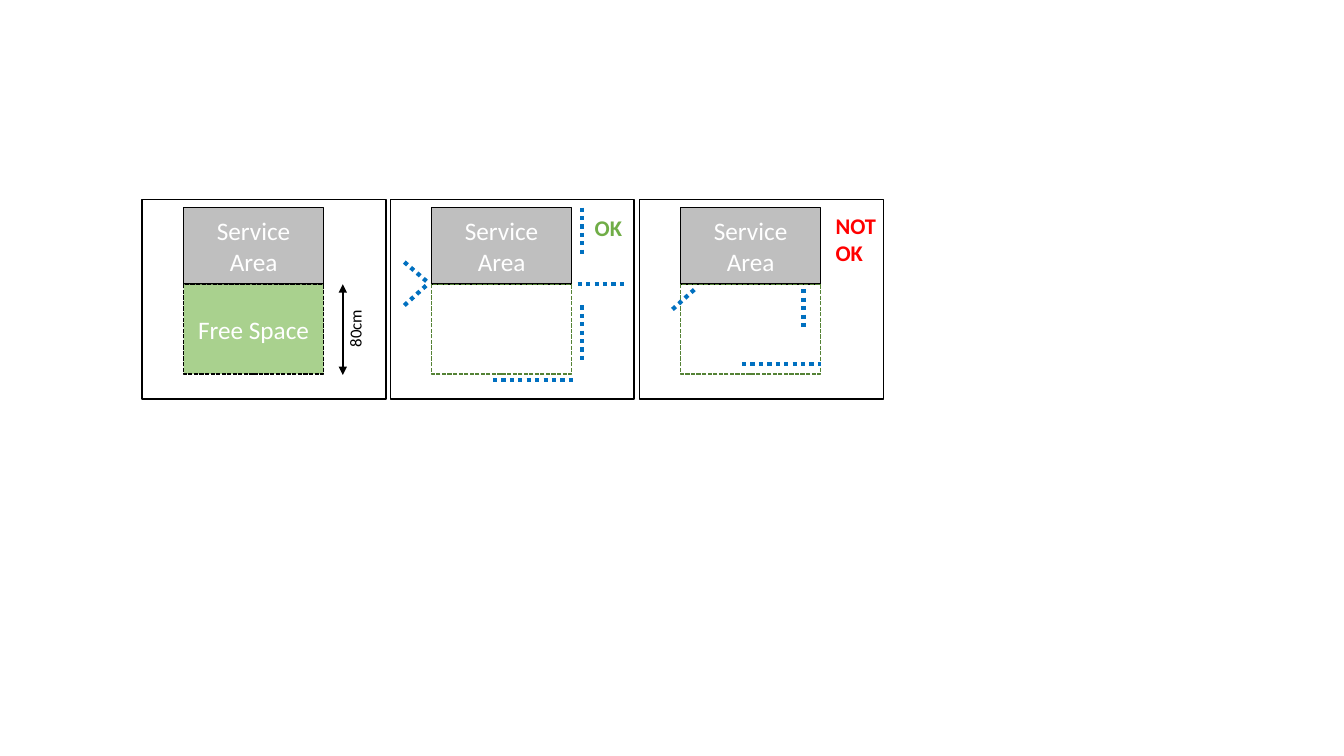
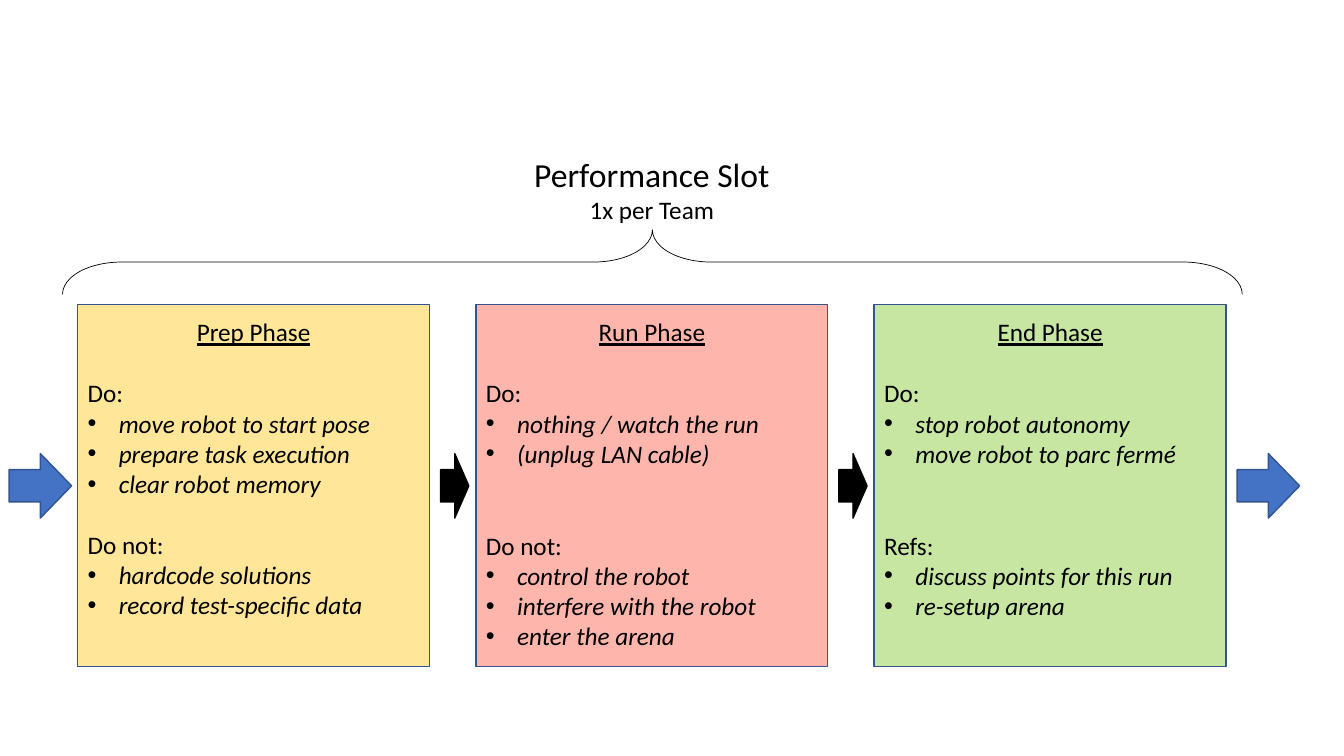
from lxml import etree
from pptx import Presentation
from pptx import util as u
from pptx.dml.color import RGBColor
from pptx.enum import dml, shapes, text
from pptx.oxml import ns

PX = 9144
FONT = "Calibri"
BLACK = RGBColor(0x00, 0x00, 0x00)
WHITE = RGBColor(0xFF, 0xFF, 0xFF)
GREY = RGBColor(0xBF, 0xBF, 0xBF)
LEAF = RGBColor(0xA9, 0xD1, 0x8E)
FOREST = RGBColor(0x54, 0x82, 0x35)
GREEN = RGBColor(0x70, 0xAD, 0x47)
RED = RGBColor(0xFF, 0x00, 0x00)
WALL = RGBColor(0x00, 0x70, 0xC0)
BLUE = RGBColor(0x44, 0x72, 0xC4)
NAVY = RGBColor(0x32, 0x54, 0x91)
YELLOW = RGBColor(0xFF, 0xE6, 0x99)
PINK = RGBColor(0xFE, 0xB6, 0xAC)
LIME = RGBColor(0xC7, 0xE6, 0xA2)
LEFT, CENTER = text.PP_ALIGN.LEFT, text.PP_ALIGN.CENTER
DASH, DOT = dml.MSO_LINE.SQUARE_DOT, dml.MSO_LINE.ROUND_DOT
SYS_DASH = "sysDash"
SYS_DOT = "sysDot"
LINE_PT = 22


def emu(*lengths):
    return [u.Emu(n * PX) for n in lengths]


def child(parent, tag, **attrs):
    return etree.SubElement(parent, ns.qn(tag), attrs)


def write(tf, content, size=18, color=BLACK, align=LEFT, before=0,
          bold=False, italic=False, underline=False, bullet=False):
    p = tf.paragraphs[0]
    if p.runs:
        p = tf.add_paragraph()
    p.alignment = align
    p.space_before = u.Pt(before)
    if bullet:
        indent = emu(31)[0]
        pPr = p._p.get_or_add_pPr()
        pPr.set("marL", str(indent))
        pPr.set("indent", str(-indent))
        child(pPr, "a:buFont", typeface="Arial")
        child(pPr, "a:buChar", char="•")
    r = p.add_run()
    r.text = content
    font = r.font
    font.name, font.size, font.color.rgb = FONT, u.Pt(size), color
    font.bold, font.italic, font.underline = bold, italic, underline


class Deck:
    """Holds the shared style and the slide being drawn."""

    def __init__(self):
        self.prs = Presentation()
        self.prs.slide_width, self.prs.slide_height = emu(1333, 750)
        self.s = None

    def slide(self, layout):
        self.s = self.prs.slides.add_slide(
            self.prs.slide_layouts.get_by_name(layout))

    def title(self, box, heading, subtitle):
        sp = self.s.shapes.title
        sp.left, sp.top, sp.width, sp.height = emu(*box)
        tf = sp.text_frame
        tf.auto_size = text.MSO_AUTO_SIZE.NONE
        tf.vertical_anchor = text.MSO_ANCHOR.TOP
        write(tf, heading, size=24, align=CENTER)
        write(tf, subtitle, align=CENTER)

    def stroke(self, line, color, width, dash=None):
        line.color.rgb = color
        line.width = u.Pt(width)
        if dash:
            child(line._get_or_add_ln(), "a:prstDash", val=dash)

    def shape(self, kind, box, fill=None, line=BLACK, width=1, dash=None):
        sp = self.s.shapes.add_shape(kind, *emu(*box))
        sp.shadow.inherit = False
        if fill is None:
            sp.fill.background()
        else:
            sp.fill.solid()
            sp.fill.fore_color.rgb = fill
        self.stroke(sp.line, line, width, dash)
        return sp

    def rect(self, box, label=None, **style):
        sp = self.shape(shapes.MSO_SHAPE.RECTANGLE, box, **style)
        if label:
            sp.text_frame.vertical_anchor = text.MSO_ANCHOR.MIDDLE
            write(sp.text_frame, label, color=WHITE, align=CENTER)
        return sp

    def label(self, box, content, rotation=0, **fmt):
        sp = self.s.shapes.add_textbox(*emu(*box))
        sp.rotation = rotation
        sp.text_frame.word_wrap = True
        write(sp.text_frame, content, **fmt)

    def line(self, ends, color, width, dash=None, arrows=False):
        cx = self.s.shapes.add_connector(
            shapes.MSO_CONNECTOR.STRAIGHT, *emu(*ends))
        self.stroke(cx.line, color, width, dash)
        if arrows:
            for end in ("a:headEnd", "a:tailEnd"):
                child(cx.line._get_or_add_ln(), end, type="triangle")
        child(cx._element.spPr, "a:effectLst")

    def arrow(self, left, width, fill, line):
        self.shape(shapes.MSO_SHAPE.RIGHT_ARROW, (left, 450, width, 64),
                   fill=fill, line=line)

    def brace(self, box):
        sp = self.shape(shapes.MSO_SHAPE.LEFT_BRACE, box, width=0.5)
        sp.rotation = 90
        sp.adjustments[0] = 0.91
        sp.adjustments[1] = 0.5

    def panel(self, left, walls=(), **space):
        self.rect((left, 198, 242, 198))
        self.rect((left + 41, 206, 139, 76), "Service Area", fill=GREY)
        self.rect((left + 41, 282, 139, 89), dash=SYS_DASH, **space)
        for ends in walls:
            self.line(ends, WALL, 3, dash=SYS_DOT)

    def phase(self, left, fill, heading, sections):
        sp = self.rect((left, 302, 349, 359), fill=fill, line=NAVY)
        tf = sp.text_frame
        tf.vertical_anchor = text.MSO_ANCHOR.TOP
        tf.margin_top = emu(12)[0]
        write(tf, heading, align=CENTER, underline=True)
        gap = LINE_PT
        for caption, items in sections:
            write(tf, caption, before=gap)
            for item in items:
                write(tf, item, italic=True, bullet=True)
            gap = LINE_PT * (4 - len(items))


def service_areas(deck):
    deck.slide("Blank")
    deck.panel(141, label="Free Space", fill=LEAF)
    deck.line((340, 282, 340, 372), BLACK, 1.5, arrows=True)
    deck.label((316, 311, 72, 30), "80cm", rotation=270, size=12, align=CENTER)
    deck.panel(387, line=FOREST, walls=[
        (573, 282, 620, 282), (577, 206, 577, 253), (489, 377, 568, 377),
        (577, 303, 577, 361), (401, 260, 423, 279), (401, 303, 423, 283)])
    deck.label((580, 208, 55, 37), "OK", size=16, color=GREEN, bold=True)
    deck.panel(634, line=FOREST, walls=[
        (736, 361, 814, 361), (797, 287, 797, 326), (667, 307, 689, 287)])
    deck.label((819, 206, 67, 64), "NOT OK", size=16, color=RED, bold=True)


def performance_slot(deck):
    deck.slide("Title Only")
    deck.title((452, 148, 389, 81), "Performance Slot", "1x per Team")
    deck.brace((615, -325, 64, 1170))
    phases = [
        (YELLOW, "Prep Phase", [
            ("Do:", ["move robot to start pose", "prepare task execution",
                     "clear robot memory"]),
            ("Do not:", ["hardcode solutions", "record test-specific data"])]),
        (PINK, "Run Phase", [
            ("Do:", ["nothing / watch the run", "(unplug LAN cable)"]),
            ("Do not:", ["control the robot", "interfere with the robot",
                         "enter the arena"])]),
        (LIME, "End Phase", [
            ("Do:", ["stop robot autonomy", "move robot to parc fermé"]),
            ("Refs:", ["discuss points for this run", "re-setup arena"])]),
    ]
    for i, phase in enumerate(phases):
        deck.phase(77 + 395 * i, *phase)
    for left in (437, 832):
        deck.arrow(left, 28, BLACK, BLACK)
    for left in (9, 1227):
        deck.arrow(left, 62, BLUE, NAVY)


def main():
    deck = Deck()
    service_areas(deck)
    performance_slot(deck)
    deck.prs.save("out.pptx")


if __name__ == "__main__":
    main()
